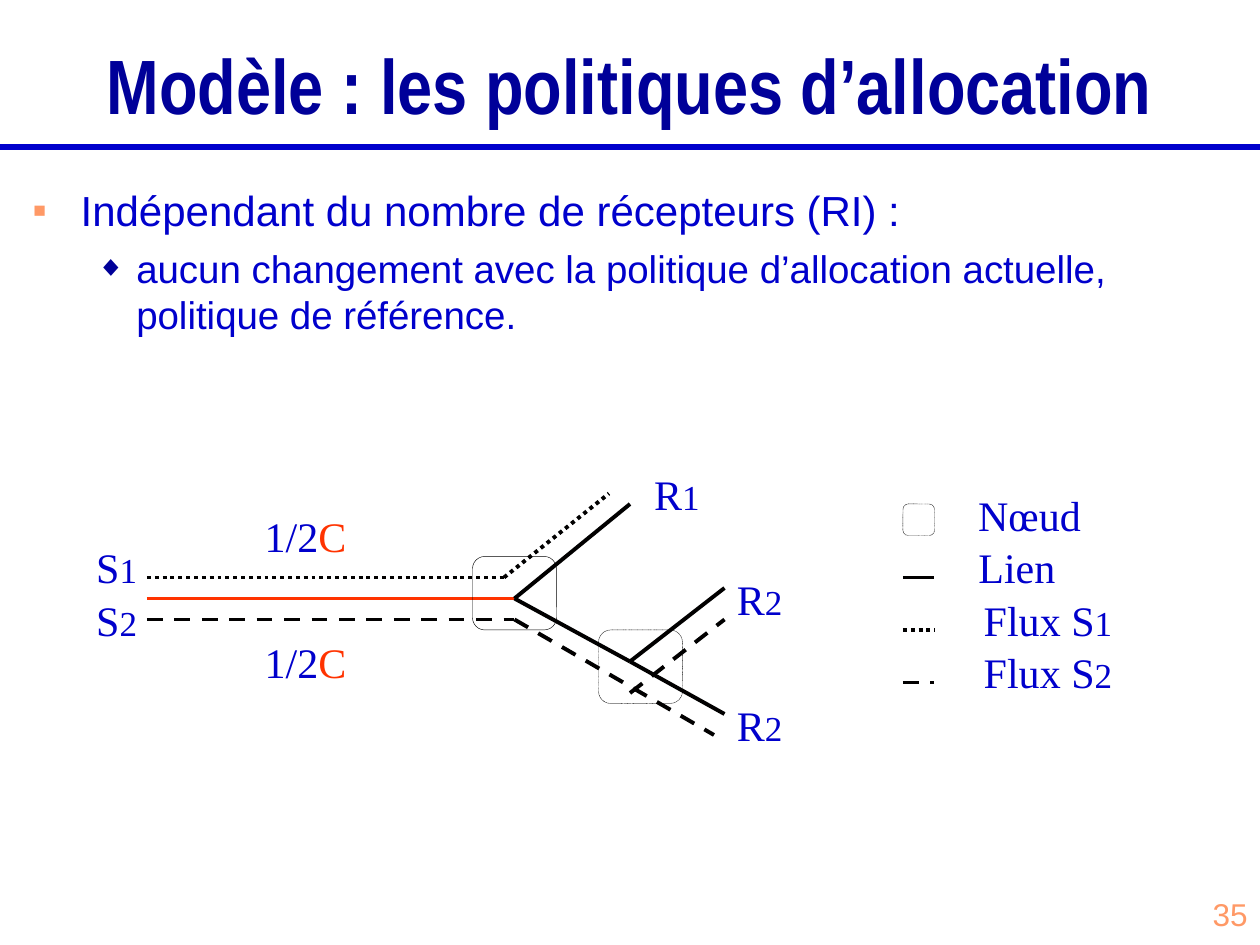
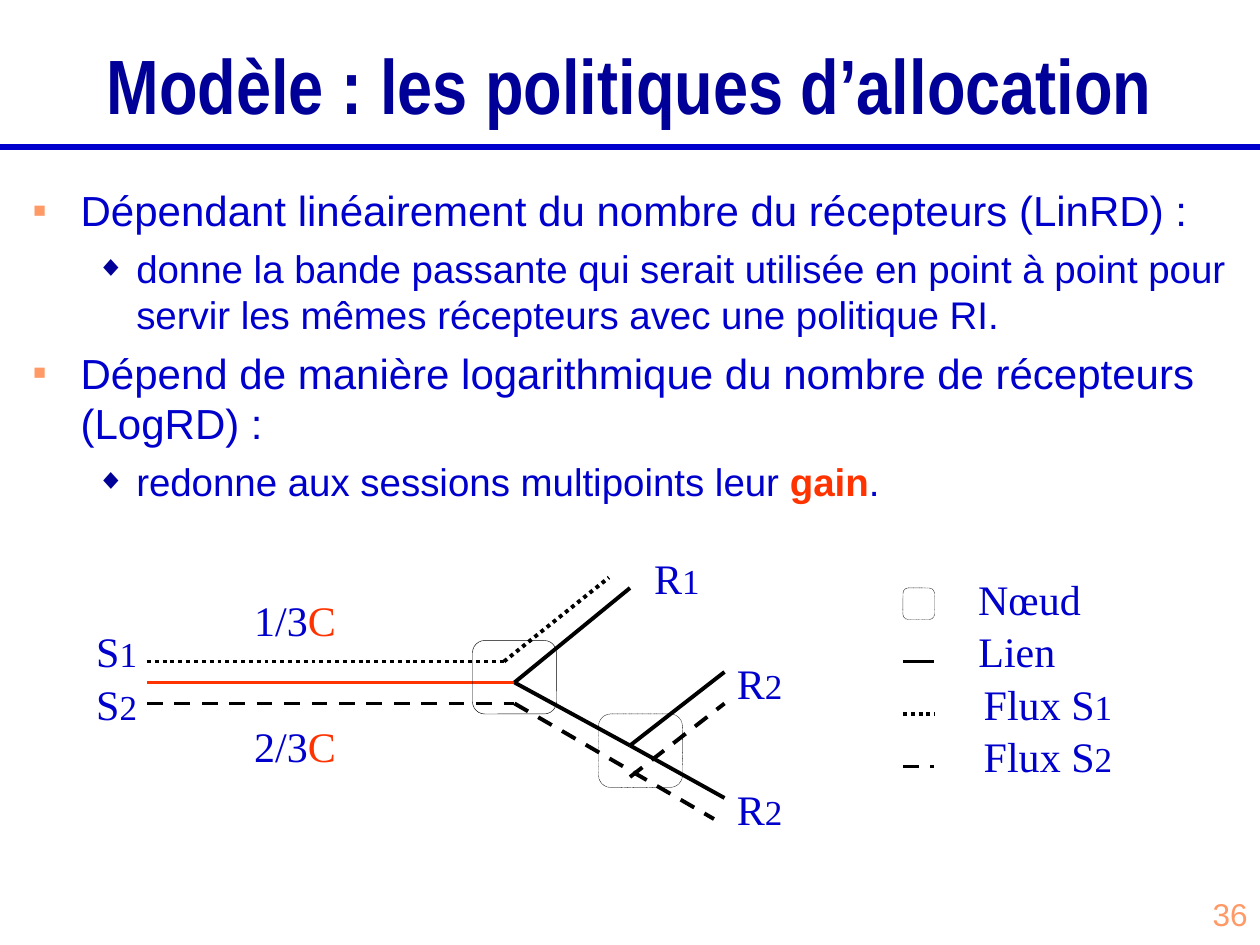
from lxml import etree
from pptx import Presentation
from pptx import util as u
from pptx.dml.color import RGBColor
from pptx.enum import dml, shapes, text
from pptx.oxml import ns

PX = 7620  # EMU per px: 120 px to the inch
WIDTH, HEIGHT = 1200, 900
COLORS = {"title": "000099", "text": "0000CC", "accent": "FF3300",
          "muted": "FF9966", "ink": "010000"}
SANS, NARROW, SERIF = "Arial", "Arial Narrow", "Times New Roman"
DOT, DASH = dml.MSO_LINE.ROUND_DOT, dml.MSO_LINE.DASH
TITLE = "Modèle : les politiques d’allocation"
# marker, marker colour, marker size, left margin, hanging indent, space before, text size
LEVELS = [("■", "muted", 50, 45, 45, 6, 24),
          ("◆", "title", 75, 98, 38, 5.5, 22)]
LABEL_HEIGHT = 60
LABEL_SLACK = 2  # px added on each side so that a label stays on one line


def px(*lengths):
    return [u.Emu(length * PX) for length in lengths]


def rgb(name):
    return RGBColor.from_string(COLORS[name])


def add_span(para, words, size, color="text", font=SERIF, bold=False):
    span = para.add_run()
    span.text = words
    span.font.size = u.Pt(size)
    span.font.name = font
    span.font.bold = bold
    span.font.color.rgb = rgb(color)


def set_frame(frame, wrap=True, anchor=text.MSO_ANCHOR.MIDDLE):
    frame.word_wrap = wrap
    frame.vertical_anchor = anchor
    frame.auto_size = (text.MSO_AUTO_SIZE.NONE if wrap
                       else text.MSO_AUTO_SIZE.SHAPE_TO_FIT_TEXT)


def add_label(page, left, top, width, *spans):
    """Centre one line of (words, size, colour) spans."""
    box = page.shapes.add_textbox(*px(left - LABEL_SLACK, top,
                                      width + 2 * LABEL_SLACK, LABEL_HEIGHT))
    set_frame(box.text_frame, wrap=False)
    para = box.text_frame.paragraphs[0]
    para.alignment = text.PP_ALIGN.CENTER
    for words, size, color in spans:
        add_span(para, words, size, color)


def add_indexed_label(page, left, top, width, name, index):
    add_label(page, left, top, width, (name, 24, "text"), (index, 20, "text"))


def add_line(page, start, end, color="ink", dash=None, weight=2.25):
    line = page.shapes.add_connector(shapes.MSO_CONNECTOR.STRAIGHT, *px(*start, *end))
    line.line.color.rgb = rgb(color)
    line.line.width = u.Pt(weight)
    if dash:
        line.line.dash_style = dash
    etree.SubElement(line._element.spPr, ns.qn("a:effectLst"))


def add_node(page, left, top, width, height, dash=None):
    node = page.shapes.add_shape(shapes.MSO_SHAPE.ROUNDED_RECTANGLE,
                                 *px(left, top, width, height))
    node.shadow.inherit = False
    node.fill.background()
    node.line.color.rgb = rgb("ink")
    node.line.width = u.Pt(0.25)
    if dash:
        node.line.dash_style = dash


def add_header(page):
    add_line(page, (0, 140), (WIDTH, 140), "text", weight=3)
    title = page.shapes.title
    title.left, title.top, title.width, title.height = px(0, 0, WIDTH, 170)
    set_frame(title.text_frame)
    para = title.text_frame.paragraphs[0]
    para.alignment = text.PP_ALIGN.CENTER
    para.line_spacing = 0.9
    add_span(para, TITLE, 44, "title", NARROW, bold=True)


def add_page_number(page, number):
    box = page.shapes.add_textbox(*px(950, 840, 250, 60))
    set_frame(box.text_frame)
    para = box.text_frame.paragraphs[0]
    para.alignment = text.PP_ALIGN.RIGHT
    add_span(para, str(number), 18, "muted", SANS)


def set_bullet(para, marker, color, percent, margin, hanging):
    props = para._p.get_or_add_pPr()
    props.set("marL", str(margin * PX))
    props.set("indent", str(-hanging * PX))
    fill = etree.SubElement(props, ns.qn("a:buClr"))
    etree.SubElement(fill, ns.qn("a:srgbClr"), val=COLORS[color])
    etree.SubElement(props, ns.qn("a:buSzPct"), val=str(percent * 1000))
    etree.SubElement(props, ns.qn("a:buFont"), typeface=SANS)
    etree.SubElement(props, ns.qn("a:buChar"), char=marker)


def add_bullets(page, items):
    """Write items of (level, words...), where a (words,) tuple is stressed."""
    box = page.shapes.add_textbox(*px(20, 170, 1170, 650))
    frame = box.text_frame
    set_frame(frame, anchor=text.MSO_ANCHOR.TOP)
    for order, (level, *parts) in enumerate(items):
        para = frame.add_paragraph() if order else frame.paragraphs[0]
        para.level = level
        *bullet, before, size = LEVELS[level]
        set_bullet(para, *bullet)
        if order:
            para.space_before = u.Pt(before)
        for part in parts:
            if isinstance(part, tuple):
                add_span(para, part[0], size, "accent", SANS, bold=True)
            else:
                add_span(para, part, size, font=SANS)


def add_network(page, left, top, share_left, shares):
    """Draw two sources sharing a link of capacity C towards three receivers."""
    def at(x, y):
        return left + x, top + y

    source, fork, second_fork = at(60, 130), at(410, 130), at(520, 190)
    add_line(page, source, fork, "accent")
    for start, end in [(fork, at(520, 40)), (fork, second_fork),
                       (second_fork, at(610, 120)), (second_fork, at(610, 240))]:
        add_line(page, start, end)
    for start, end in [((60, 110), (400, 110)), ((400, 110), (500, 30))]:
        add_line(page, at(*start), at(*end), dash=DOT)
    for start, end in [((60, 150), (410, 150)), ((410, 150), (600, 260)),
                       ((520, 220), (610, 150))]:
        add_line(page, at(*start), at(*end), dash=DASH)

    add_node(page, *at(490, 160), 80, 70, DOT)
    add_node(page, *at(370, 90), 80, 70)

    for index, y in [("1", 70), ("2", 120)]:
        add_indexed_label(page, *at(0, y), 62, "S", index)
    for index, x, y in [("1", 531, 0), ("2", 610, 100), ("2", 610, 220)]:
        add_indexed_label(page, *at(x, y), 67, "R", index)
    for share, y in zip(shares, (40, 160)):
        add_label(page, *at(share_left, y), 102,
                  (share, 24, "text"), ("C", 24, "accent"))


def add_legend(page, left, top):
    row_tops = [top + 50 * row for row in range(4)]
    add_node(page, left, top + 20, 30, 30, DOT)
    for row_top, dash in zip(row_tops[1:], (None, DOT, DASH)):
        add_line(page, (left, row_top + 40), (left + 30, row_top + 40), dash=dash)
    for row_top, name, width in zip(row_tops, ("Nœud", "Lien"), (121, 97)):
        add_label(page, left + 60, row_top, width, (name, 24, "text"))
    for row_top, index in zip(row_tops[2:], "12"):
        add_indexed_label(page, left + 65, row_top, 146, "Flux S", index)


def add_policy_slide(deck, number, items, diagram_top, share_left, shares):
    page = deck.slides.add_slide(deck.slide_layouts[5])
    add_header(page)
    add_bullets(page, items)
    add_network(page, 80, diagram_top, share_left, shares)
    add_legend(page, 860, diagram_top + 20)
    add_page_number(page, number)


def main():
    deck = Presentation()
    deck.slide_width, deck.slide_height = px(WIDTH, HEIGHT)
    add_policy_slide(deck, 35, [
        (0, "Indépendant du nombre de récepteurs (RI) :"),
        (1, "aucun changement avec la politique d’allocation actuelle, "
            "politique de référence."),
    ], 440, 160, ("1/2", "1/2"))
    add_policy_slide(deck, 36, [
        (0, "Dépendant linéairement du nombre du récepteurs (LinRD) :"),
        (1, "donne la bande passante qui serait utilisée en point à point pour "
            "servir les mêmes récepteurs avec une politique RI."),
        (0, "Dépend de manière logarithmique du nombre de récepteurs (LogRD) :"),
        (1, "redonne aux sessions multipoints leur ", ("gain",), "."),
    ], 520, 150, ("1/3", "2/3"))
    deck.save("out.pptx")


if __name__ == "__main__":
    main()
